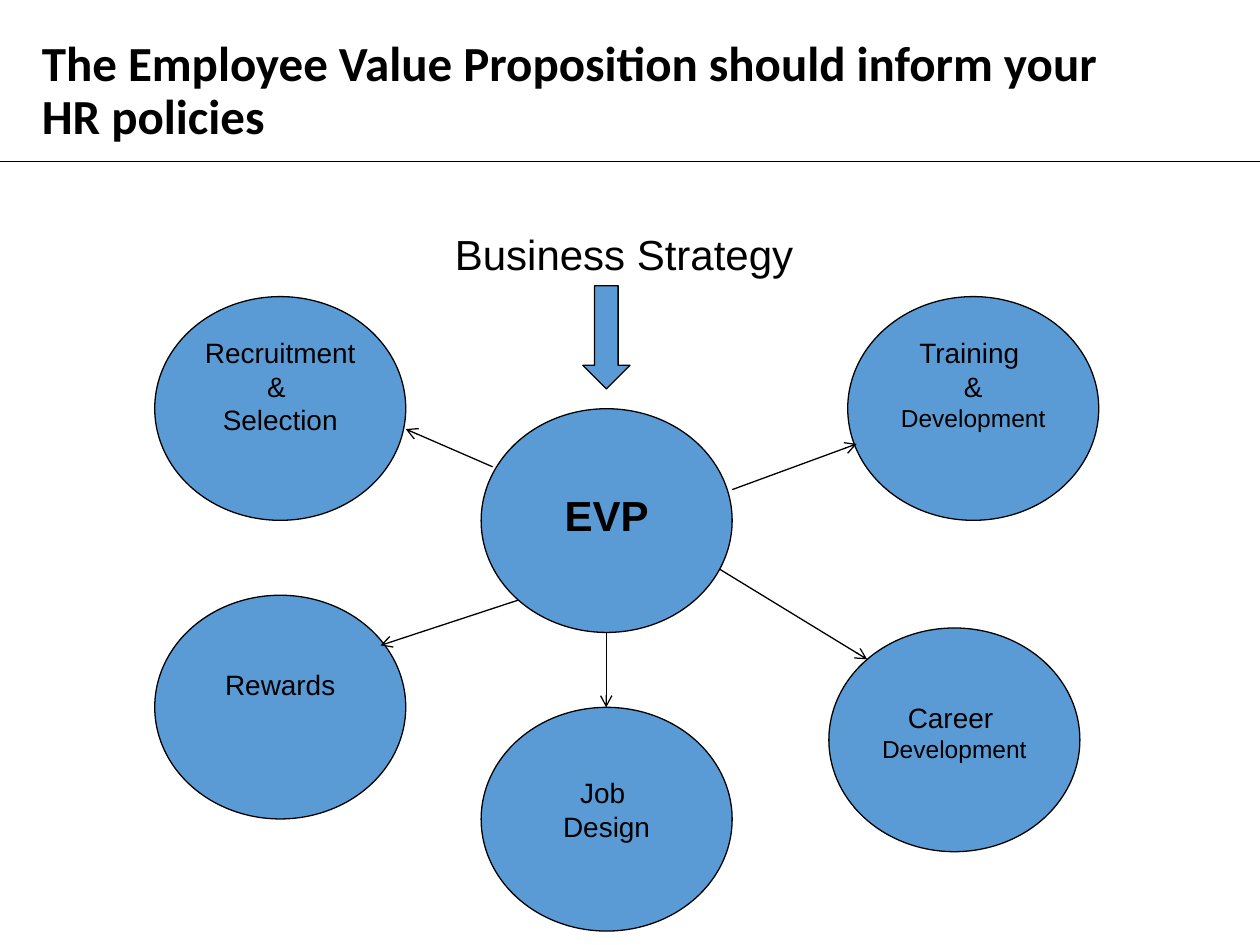
import pptx
import pptx.util
import pptx.dml.color
import pptx.enum.shapes
import pptx.enum.text
import pptx.oxml
import pptx.oxml.ns

Cm, Pt = pptx.util.Cm, pptx.util.Pt
SHAPE = pptx.enum.shapes.MSO_SHAPE
ANCHOR = pptx.enum.text.MSO_ANCHOR
ALIGN = pptx.enum.text.PP_ALIGN
BLACK = pptx.dml.color.RGBColor(0x00, 0x00, 0x00)
BLUE = pptx.dml.color.RGBColor(0x5B, 0x9B, 0xD5)

WIDE, HIGH = 5.06, 4.51  # size of every circle

# Circles: left, top, space above the text, lines as (text, size, bold)
NODES = [
    (6.58, 3.76, 0.84, [("EVP", 24, True)]),
    (0, 1.5, 0, [("Recruitment & ", 16, False), ("Selection", 16, False)]),
    (13.97, 1.5, 0, [("Training ", 16, False), ("&", 16, False),
                     ("Development", 14, False)]),
    (0, 7.52, 0.67, [("Rewards", 16, False)]),
    (13.59, 8.18, 0.67, [("Career ", 16, False), ("Development", 14, False)]),
    (6.58, 9.78, 0.59, [("Job ", 16, False), ("Design", 16, False)]),
]

# Arrows out of the centre: start x, y, end x, y
LINKS = [
    (11.64, 5.39, 14.15, 4.47),
    (11.38, 6.99, 14.36, 8.81),
    (9.1, 8.28, 9.1, 9.78),
    (7.32, 7.62, 4.55, 8.53),
    (6.81, 4.93, 5.06, 4.17),
]


def write(para, text, size=16, bold=False, font="Arial", align=ALIGN.LEFT):
    para.text = text
    para.alignment = align
    para.font.size = Pt(size)
    para.font.bold = bold
    para.font.name = font
    para.font.color.rgb = BLACK


def draw_line(slide, ends, width, arrow=False):
    line = slide.shapes.add_connector(
        pptx.enum.shapes.MSO_CONNECTOR.STRAIGHT, *(Cm(v) for v in ends))
    line.line.color.rgb = BLACK
    line.line.width = Pt(width)
    if arrow:
        tail = pptx.oxml.parse_xml(
            "<a:tailEnd %s type='arrow'/>" % pptx.oxml.ns.nsdecls("a"))
        line.line._get_or_add_ln().append(tail)
    flat = pptx.oxml.parse_xml("<a:effectLst %s/>" % pptx.oxml.ns.nsdecls("a"))
    line._element.spPr.append(flat)


def draw_shape(slide, kind, box):
    shape = slide.shapes.add_shape(kind, *(Cm(v) for v in box))
    shape.shadow.inherit = False
    shape.fill.solid()
    shape.fill.fore_color.rgb = BLUE
    shape.line.color.rgb = BLACK
    shape.line.width = Pt(0.75)
    return shape


def draw_node(slide, box, gap, lines):
    frame = draw_shape(slide, SHAPE.OVAL, box).text_frame
    frame.word_wrap = True
    frame.vertical_anchor = ANCHOR.TOP
    frame.margin_top = Cm(0.13 + gap)
    for i, (text, size, bold) in enumerate(lines):
        para = frame.add_paragraph() if i else frame.paragraphs[0]
        write(para, text, size=size, bold=bold, align=ALIGN.CENTER)


def draw_head(slide, box):
    left, top, width, height = box
    # Rule across the slide
    draw_line(slide, (0, top + height + 0.12, 25.4, top + height + 0.12), 0.5)
    # Title
    title = slide.shapes.title
    title.left, title.top, title.width, title.height = (Cm(v) for v in box)
    frame = title.text_frame
    frame.auto_size = pptx.enum.text.MSO_AUTO_SIZE.NONE
    frame.word_wrap = True
    frame.vertical_anchor = ANCHOR.MIDDLE
    para = frame.paragraphs[0]
    write(para, "The Employee Value Proposition should inform your HR policies",
          size=28, bold=True, font="Calibri")
    para.line_spacing = 0.9


def draw_web(slide, box):
    left, top = box[:2]
    # Circles
    for x, y, gap, lines in NODES:
        draw_node(slide, (left + x, top + y, WIDE, HIGH), gap, lines)
    # Strategy label and block arrow
    label = slide.shapes.add_textbox(Cm(left + 5.8), Cm(top), Cm(7.6), Cm(1.27))
    label.text_frame.word_wrap = True
    write(label.text_frame.paragraphs[0], "Business Strategy", size=24)
    draw_shape(slide, SHAPE.DOWN_ARROW, (left + 8.63, top + 1.28, 0.95, 2.08))
    # Links
    for x1, y1, x2, y2 in LINKS:
        draw_line(slide, (left + x1, top + y1, left + x2, top + y2), 0.75, True)


def main():
    deck = pptx.Presentation()
    deck.slide_width, deck.slide_height = Cm(25.4), Cm(19.05)
    slide = deck.slides.add_slide(deck.slide_layouts[5])
    draw_head(slide, (0.59, 0.57, 21.89, 2.57))
    draw_web(slide, (3.12, 4.48, 19.03, 14.29))
    deck.save("out.pptx")


if __name__ == "__main__":
    main()
